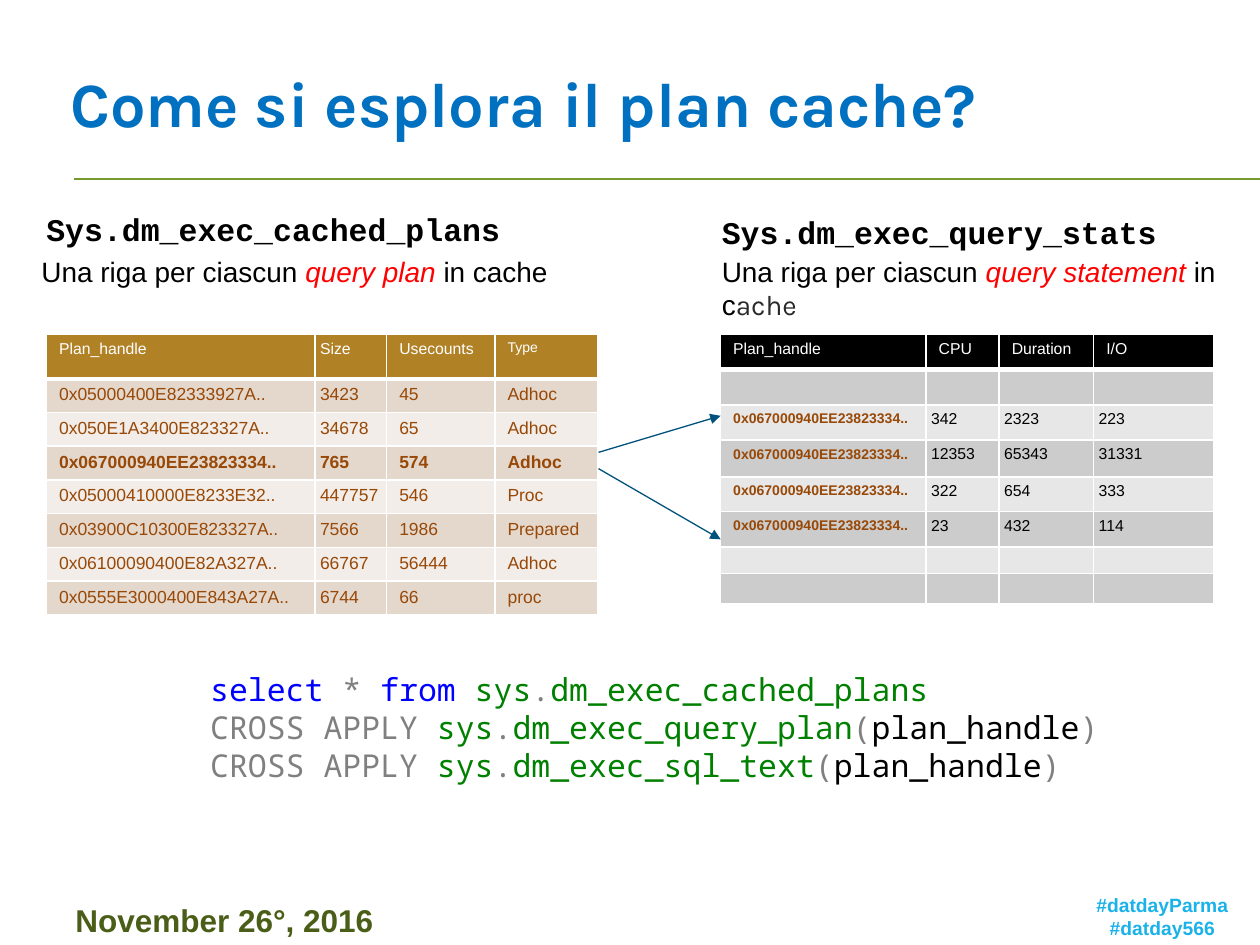
"""Build the slide on exploring the plan cache."""
import pptx
import pptx.util
import pptx.dml.color
import pptx.enum.shapes
import pptx.enum.text
import pptx.oxml
import pptx.oxml.ns

Pt = pptx.util.Pt
ALIGN = pptx.enum.text.PP_ALIGN
ANCHOR = pptx.enum.text.MSO_ANCHOR
HUE = {
    "white": "FFFFFF", "black": "000000", "title": "0070C0", "red": "FF0000",
    "ink": "2A2A2A", "tag": "1AB2E8", "date": "4A5E18", "rule": "75982F",
    "arrow": "00517C", "brown": "984807", "gold": "B18126", "sand": "E4D8CD",
    "cream": "F2EDE8", "mid": "CCCCCC", "pale": "E7E7E7",
    "key": "0000FF", "gray": "808080", "name": "008000",
}
NS = pptx.oxml.ns.nsdecls("a")


def style(run, size, hue, bold=False, font="Arial"):
    """Set the look of one run."""
    run.font.size = Pt(size)
    run.font.name = font
    run.font.bold = bold
    run.font.color.rgb = pptx.dml.color.RGBColor.from_string(HUE[hue])


def write(spot, lines, size, font="Arial", bold=False, wrap=True, align=ALIGN.LEFT):
    """Add a text box; each line is a list of (text, hue) runs."""
    frame = slide.shapes.add_textbox(*[Pt(n) for n in spot]).text_frame
    frame.word_wrap = wrap
    for i, line in enumerate(lines):
        para = frame.paragraphs[0] if i == 0 else frame.add_paragraph()
        para.alignment = align
        for text, hue in line:
            run = para.add_run()
            run.text = text
            style(run, size, hue, bold, font)
    return frame


deck = pptx.Presentation()
deck.slide_width, deck.slide_height = Pt(720), Pt(540)
slide = deck.slides.add_slide(deck.slide_layouts[6])

write((597.6, 506.9, 133.2, 33.8), [[("#datdayParma", "tag")], [("#datday566", "tag")]],
      11, bold=True, align=ALIGN.CENTER)
write((36, 511.2, 186.5, 28.8), [[("November 26°, 2016", "date")]], 18, bold=True, wrap=False)
title = write((33.1, 36.7, 648, 43.9), [[("Come si esplora il plan cache?", "title")]],
              36, "Karla", True)
title.vertical_anchor = ANCHOR.MIDDLE

for x, y, wide, head in [(19.4, 116.6, 275, "Sys.dm_exec_cached_plans"),
                         (405.4, 118.1, 264.2, "Sys.dm_exec_query_stats")]:
    write((x, y, wide, 28.8), [[(head, "black")]], 18, "Courier New", True, False)

for x, wide, high, term, tail in [
        (16.6, 316, 26.6, "query plan ", [("in cache", "black")]),
        (405.4, 299.5, 46, "query statement ", [("in c", "black"), ("ache", "ink")])]:
    line = [("Una riga per ciascun ", "black"), (term, "red")] + tail
    note = write((x, 141.8, wide, high), [line], 16)
    runs = note.paragraphs[0].runs
    runs[1].font.italic = True
    if len(runs) > 3:
        runs[3].font.name = "Karla"

KEY = "0x067000940EE23823334.."
GAP = ("",) * 4
plans = {
    "x": 26.6, "cols": [153.4, 41, 61.9, 59], "rows": [25.7] + [19.25] * 7,
    "head": "gold", "bands": ["cream", "sand"],
    "data": [
        ("Plan_handle", "Size", "Usecounts", "Type"),
        ("0x05000400E82333927A..", "3423", "45", "Adhoc"),
        ("0x050E1A3400E823327A..", "34678", "65", "Adhoc"),
        (KEY, "765", "574", "Adhoc"),
        ("0x05000410000E8233E32..", "447757", "546", "Proc"),
        ("0x03900C10300E823327A..", "7566", "1986", "Prepared"),
        ("0x06100090400E82A327A..", "66767", "56444", "Adhoc"),
        ("0x0555E3000400E843A27A..", "6744", "66", "proc"),
    ],
}
stats = {
    "x": 411.8, "cols": [117.4, 41.8, 54, 68.4],
    "rows": [20.4, 20.2, 20.2, 20.9, 20, 20.2, 15.1, 17.3],
    "head": "black", "bands": ["pale", "mid"],
    "data": [
        ("Plan_handle", "CPU", "Duration", "I/O"),
        GAP,
        (KEY, "342", "2323", "223"),
        (KEY, "12353", "65343", "31331"),
        (KEY, "322", "654", "333"),
        (KEY, "23", "432", "114"),
        GAP,
        GAP,
    ],
}
for part in (plans, stats):
    left = part is plans
    cols, rows = part["cols"], part["rows"]
    grid = slide.shapes.add_table(len(rows), len(cols), Pt(part["x"]), Pt(190.8),
                                  Pt(sum(cols)), Pt(sum(rows))).table
    for col, wide in zip(grid.columns, cols):
        col.width = Pt(wide)
    for r, line in enumerate(part["data"]):
        grid.rows[r].height = Pt(rows[r])
        for c, text in enumerate(line):
            cell = grid.cell(r, c)
            cell.text_frame.text = text
            cell.fill.solid()
            hue = part["bands"][r % 2] if r else part["head"]
            cell.fill.fore_color.rgb = pptx.dml.color.RGBColor.from_string(HUE[hue])
            if (left and c == 1) or (not left and r and c):
                cell.margin_left = cell.margin_right = Pt(2.9)
                cell.margin_top = cell.margin_bottom = Pt(3.6 if left else 2.9)
            if r == 0:
                size, hue = (8 if text == "Type" else 9), "white"
            elif left:
                size, hue = 10, "brown"
            else:
                size, hue = (9, "black") if c else (8, "brown")
            bold = r > 0 and line[0] == KEY and (left or c == 0)
            para = cell.text_frame.paragraphs[0]
            for run in para.runs:
                style(run, size, hue, bold)
            if not text:
                para._p.append(pptx.oxml.parse_xml(f'<a:endParaRPr {NS} sz="600"/>'))
            edge = cell._tc.get_or_add_tcPr()
            for i, side in enumerate("LRTB"):
                thick = 3 if r == 0 and side == "B" else 1
                edge.insert(i, pptx.oxml.parse_xml(
                    f'<a:ln{side} {NS} w="{Pt(thick)}"><a:solidFill>'
                    f'<a:srgbClr val="{HUE["white"]}"/></a:solidFill></a:ln{side}>'))

for ends, hue, thick in [((42.5, 102.2, 720, 102.2), "rule", 1),
                         ((342, 258.5, 411.8, 237.6), "arrow", 0.75),
                         ((342, 267.8, 411.8, 308.2), "arrow", 0.75)]:
    link = slide.shapes.add_connector(pptx.enum.shapes.MSO_CONNECTOR.STRAIGHT,
                                      *[Pt(n) for n in ends])
    link.line.color.rgb = pptx.dml.color.RGBColor.from_string(HUE[hue])
    link.line.width = Pt(thick)
    if hue == "arrow":
        link.line._get_or_add_ln().append(
            pptx.oxml.parse_xml(f'<a:tailEnd {NS} type="triangle"/>'))
    link._element.spPr.append(pptx.oxml.parse_xml(f"<a:effectLst {NS}/>"))

code = [[("select ", "key"), ("* ", "gray"), ("from ", "key"), ("sys", "name"),
         (".", "gray"), ("dm_exec_cached_plans", "name")]]
for call in ("dm_exec_query_plan", "dm_exec_sql_text"):
    code.append([("CROSS APPLY ", "gray"), ("sys", "name"), (".", "gray"), (call, "name"),
                 ("(", "gray"), ("plan_handle", "black"), (")", "gray")])
write((113, 379.4, 527, 72.7), code, 18, "Noto Sans Mono")

deck.save("out.pptx")
